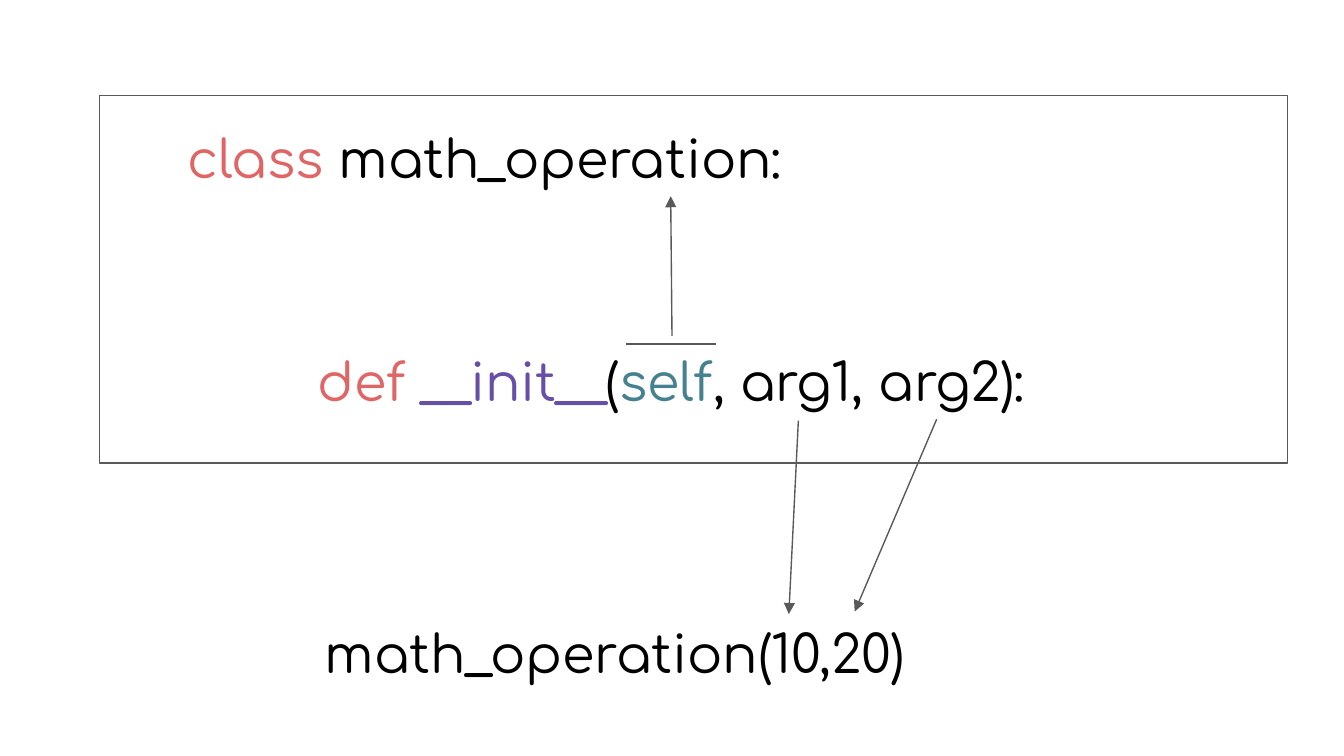
from typing import NamedTuple

from lxml import etree
from pptx import Presentation
from pptx.dml.color import RGBColor
from pptx.enum.shapes import MSO_CONNECTOR, MSO_SHAPE
from pptx.enum.text import MSO_ANCHOR, MSO_AUTO_SIZE, PP_ALIGN
from pptx.oxml.ns import qn
from pptx.util import Pt

LINE = MSO_CONNECTOR.STRAIGHT
RECT = MSO_SHAPE.RECTANGLE
TOP = MSO_ANCHOR.TOP
FIXED = MSO_AUTO_SIZE.NONE
CENTER = PP_ALIGN.CENTER

FONT = "Comfortaa"
BLACK, GRAY = "000000", "595959"
RED, PURPLE, TEAL = "E06666", "674EA7", "45818E"
WIDE, HIGH, INSET = 658.8, 45.4, 7.2


class Code(NamedTuple):
    left: float
    top: float
    runs: list[tuple[str, str]]


class Link(NamedTuple):
    x1: float
    y1: float
    x2: float
    y2: float
    arrow: bool = True


METHOD = Code(30.2, 180, [
    ("def ", RED), ("__init__", PURPLE), ("(", BLACK),
    ("self", TEAL), (", arg1, arg2):", BLACK),
])
HEADER = Code(-69.8, 60.5, [("class ", RED), ("math_operation:", BLACK)])
CALL = Code(0, 325.4, [("math_operation(10,20)", BLACK)])

LINKS = [
    Link(360, 180, 359.3, 105.1),
    Link(335.5, 184.3, 383.8, 184.3, arrow=False),
    Link(427.7, 225.4, 422.6, 329),
    Link(501.8, 224.6, 457.9, 327.6),
]


def color(code: str) -> RGBColor:
    return RGBColor.from_string(code)


def write(shape, code: Code) -> None:
    """Place a text shape and fill it with coloured runs."""
    shape.left, shape.top = Pt(code.left), Pt(code.top)
    shape.width, shape.height = Pt(WIDE), Pt(HIGH)
    frame = shape.text_frame
    frame.word_wrap = True
    frame.auto_size = FIXED
    frame.vertical_anchor = TOP
    frame.margin_left = frame.margin_right = Pt(INSET)
    frame.margin_top = frame.margin_bottom = Pt(INSET)
    para = frame.paragraphs[0]
    para.alignment = CENTER
    for text, tone in code.runs:
        run = para.add_run()
        run.text = text
        run.font.name = FONT
        run.font.size = Pt(28)
        run.font.color.rgb = color(tone)


def stroke(shape) -> None:
    shape.line.color.rgb = color(GRAY)
    shape.line.width = Pt(0.75)


def connect(slide, link: Link) -> None:
    line = slide.shapes.add_connector(
        LINE, Pt(link.x1), Pt(link.y1), Pt(link.x2), Pt(link.y2))
    stroke(line)
    if link.arrow:
        tail = etree.SubElement(line.line._get_or_add_ln(), qn("a:tailEnd"))
        tail.set("type", "triangle")
    etree.SubElement(line._element.spPr, qn("a:effectLst"))


def main() -> None:
    deck = Presentation()
    deck.slide_width, deck.slide_height = Pt(720), Pt(405)
    slide = deck.slides.add_slide(deck.slide_layouts[5])

    write(slide.shapes.title, METHOD)
    for code in (HEADER, CALL):
        write(slide.shapes.add_textbox(0, 0, Pt(WIDE), Pt(HIGH)), code)
    for link in LINKS:
        connect(slide, link)

    frame = slide.shapes.add_shape(
        RECT, Pt(53.3), Pt(51.3), Pt(636.5), Pt(196.7))
    frame.shadow.inherit = False
    frame.fill.background()
    stroke(frame)

    deck.save("out.pptx")


if __name__ == "__main__":
    main()
